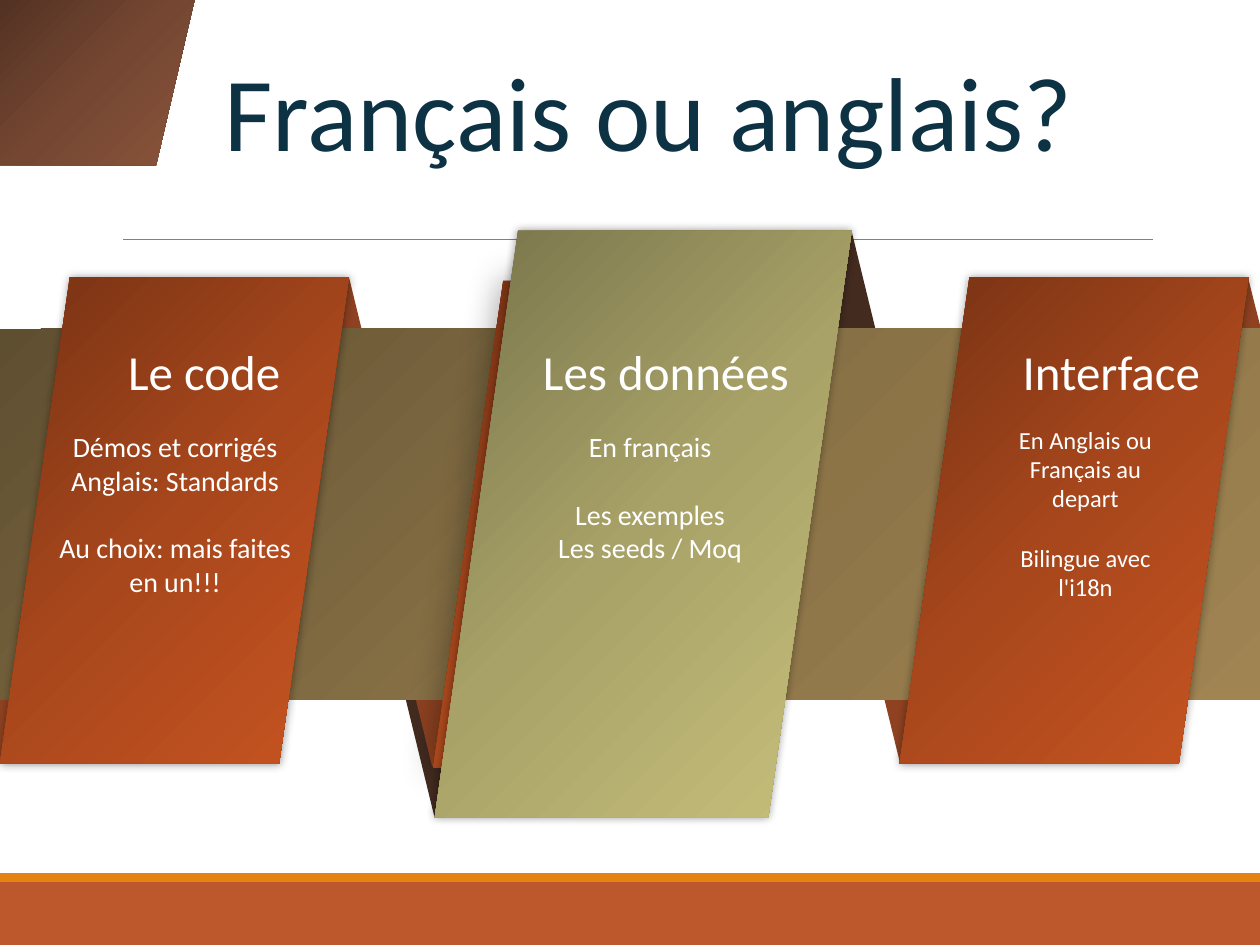
from dataclasses import dataclass
from lxml.etree import SubElement as Sub
from pptx import Presentation
from pptx.dml.color import RGBColor
from pptx.enum.shapes import MSO_CONNECTOR as Link, MSO_SHAPE as Kind
from pptx.enum.text import MSO_ANCHOR as Anchor, MSO_AUTO_SIZE as Fit, PP_ALIGN as Align
from pptx.oxml.ns import qn
from pptx.util import Emu, Inches, Pt

COLS, ROWS = 100, 75
WIDE, HIGH = Inches(10), Inches(7.5)
FONT, WHITE = "Calibri", "FFFFFF"
RUST, DARK = "8E4221", "432B20"
WARM = ("763214", "A8471C", "C85421")
OLIVE = ("767249", "A8A268", "C7C07B")
SAND = ("5F4F31", "877045", "A08452")
BROWN = ("533223", "754732", "8B543B")


@dataclass(frozen=True)
class Box:
    col: float
    row: float
    wide: float
    high: float

    def place(self) -> tuple[Emu, ...]:
        return across(self.col), down(self.row), across(self.wide), down(self.high)


@dataclass(frozen=True)
class Panel:
    box: Box
    tones: tuple[str, ...]
    blur: float = 5


@dataclass(frozen=True)
class Topic:
    name: str
    head: Box
    body: Box
    size: float
    groups: tuple[tuple[str, ...], ...]


@dataclass(frozen=True)
class Fold:
    dots: tuple[tuple[float, float], ...]
    tone: str | tuple[str, ...]


@dataclass(frozen=True)
class Tail:
    box: Box
    tone: str


def across(cols: float) -> Emu:
    return Emu(round(WIDE * cols / COLS))


def down(rows: float) -> Emu:
    return Emu(round(HIGH * rows / ROWS))


def color(code: str) -> RGBColor:
    return RGBColor.from_string(code)


def paint(shape, tone: str | tuple[str, ...]) -> None:
    shape.shadow.inherit = False
    shape.line.fill.background()
    if isinstance(tone, str):
        shape.fill.solid()
        shape.fill.fore_color.rgb = color(tone)
        return
    shape.fill.gradient()
    grad = shape._element.spPr.find(qn("a:gradFill"))
    stops = grad.find(qn("a:gsLst"))
    for stop in list(stops):
        stops.remove(stop)
    for step, code in enumerate(tone):
        stop = Sub(stops, qn("a:gs"), pos=str(step * 100000 // (len(tone) - 1)))
        Sub(stop, qn("a:srgbClr"), val=code)
    shape.fill.gradient_angle = 315


def block(page, kind: Kind, box: Box, tone: str | tuple[str, ...]):
    shape = page.shapes.add_shape(kind, *box.place())
    paint(shape, tone)
    return shape


def outline(page, fold: Fold) -> None:
    dots = [(across(x), down(y)) for x, y in fold.dots]
    pen = page.shapes.build_freeform(*dots[0], scale=1.0)
    pen.add_line_segments(dots[1:], close=True)
    paint(pen.convert_to_shape(), fold.tone)


def flap(page, tail: Tail) -> None:
    shape = block(page, Kind.FLOWCHART_DATA, tail.box, tail.tone)
    shape._element.spPr.find(qn("a:xfrm")).set("flipH", "1")


def slant(page, panel: Panel) -> None:
    shape = block(page, Kind.FLOWCHART_DATA, panel.box, panel.tones)
    glow = shape._element.spPr.find(qn("a:effectLst"))
    shade = Sub(glow, qn("a:outerShdw"), blurRad=str(Pt(panel.blur)), dist="0",
                dir="0", algn="ctr", rotWithShape="0")
    black = Sub(shade, qn("a:srgbClr"), val="000000")
    Sub(black, qn("a:alpha"), val="40000")


def setup(frame) -> None:
    frame.word_wrap = True
    frame.auto_size = Fit.NONE
    frame.margin_left = frame.margin_right = 0
    frame.margin_top = frame.margin_bottom = 0


def write(para, text: str, size: float, tone: str) -> None:
    para.alignment = Align.CENTER
    run = para.add_run()
    run.text = text
    run.font.name = FONT
    run.font.size = Pt(size)
    run.font.color.rgb = color(tone)


def label(page, box: Box, size: float, groups: tuple[tuple[str, ...], ...]) -> None:
    frame = page.shapes.add_textbox(*box.place()).text_frame
    setup(frame)
    first = True
    for group in groups:
        for spot, text in enumerate(group):
            para = frame.paragraphs[0] if first else frame.add_paragraph()
            if spot == 0 and not first:
                para.space_before = Pt(size * 1.22)
            write(para, text, size, WHITE)
            first = False


def title(page, box: Box, text: str) -> None:
    shape = page.shapes.title
    shape.left, shape.top, shape.width, shape.height = box.place()
    frame = shape.text_frame
    setup(frame)
    frame.vertical_anchor = Anchor.MIDDLE
    frame.paragraphs[0].line_spacing = Pt(65)
    write(frame.paragraphs[0], text, 60, "0C3244")


def rule(page, left: float, right: float, row: float) -> None:
    line = page.shapes.add_connector(
        Link.STRAIGHT, across(left), down(row), across(right), down(row))
    line.line.color.rgb = color("808080")
    line.line.width = Pt(0.5)
    Sub(line._element.spPr, qn("a:effectLst"))


FOLDS = (
    Fold(((99.1, 22.2), (100, 25.8), (100, 34.5), (79.7, 34.4), (77, 22.3)), RUST),
    Tail(Box(31.5, 52.6, 15, 12.3), DARK),
    Fold(((12.1, 60.4), (9, 48.1), (0, 47.9), (0, 60.4)), RUST),
    Fold(((70.6, 30.7), (67.6, 18.4), (41.1, 18.5), (43.2, 30.8)), DARK),
    Tail(Box(68.4, 48.2, 15, 12.2), RUST),
    Tail(Box(31.3, 48.5, 15, 12.3), RUST),
    Fold(((30.7, 34.3), (27.7, 22), (5.6, 22.1), (8.2, 34.2)), RUST),
)
PANELS = (
    Panel(Box(0, 22, 27.7, 38.6), WARM),
    Panel(Box(34.4, 22.3, 27.7, 38.6), WARM, 20),
    Panel(Box(71.4, 22, 27.7, 38.6), WARM),
    Panel(Box(34.5, 18.3, 33.1, 46.6), OLIVE),
)
TOPICS = (
    Topic("Le code", Box(7, 27.1, 18.4, 5), Box(4.7, 34.1, 18.4, 16.8), 16,
          (("Démos et corrigés Anglais: Standards",),
           ("Au choix: mais faites en un!!!",))),
    Topic("Les données", Box(41.1, 27.1, 23.5, 5), Box(41.1, 34.1, 21, 18.5), 16,
          (("En français",), ("Les exemples", "Les seeds / Moq"))),
    Topic("Interface", Box(79.1, 27.1, 18.2, 5), Box(79.2, 33.7, 13.9, 16.8), 14,
          (("En Anglais ou Français au depart",), ("Bilingue avec l'i18n",))),
)
CORNER = Fold(((0, 13.1), (0, 0), (15.45, 0), (12.4, 13.1)), BROWN)


def main() -> None:
    deck = Presentation()
    deck.slide_width, deck.slide_height = WIDE, HIGH
    page = deck.slides.add_slide(deck.slide_layouts[5])
    title(page, Box(14.4, 4.1, 74.2, 10.1), "Français ou anglais?")
    block(page, Kind.RECTANGLE, Box(0, 70, COLS, 5), "BD582C")
    block(page, Kind.RECTANGLE, Box(0, 69.3, COLS, 0.7), "E48312")
    rule(page, 9.8, 91.5, 19)
    for fold in FOLDS:
        (flap if isinstance(fold, Tail) else outline)(page, fold)
    block(page, Kind.RECTANGLE, Box(0, 26.1, COLS, 29.4), SAND)
    for panel in PANELS:
        slant(page, panel)
    for topic in TOPICS:
        label(page, topic.head, 28, ((topic.name,),))
        label(page, topic.body, topic.size, topic.groups)
    outline(page, CORNER)
    deck.save("out.pptx")


if __name__ == "__main__":
    main()
